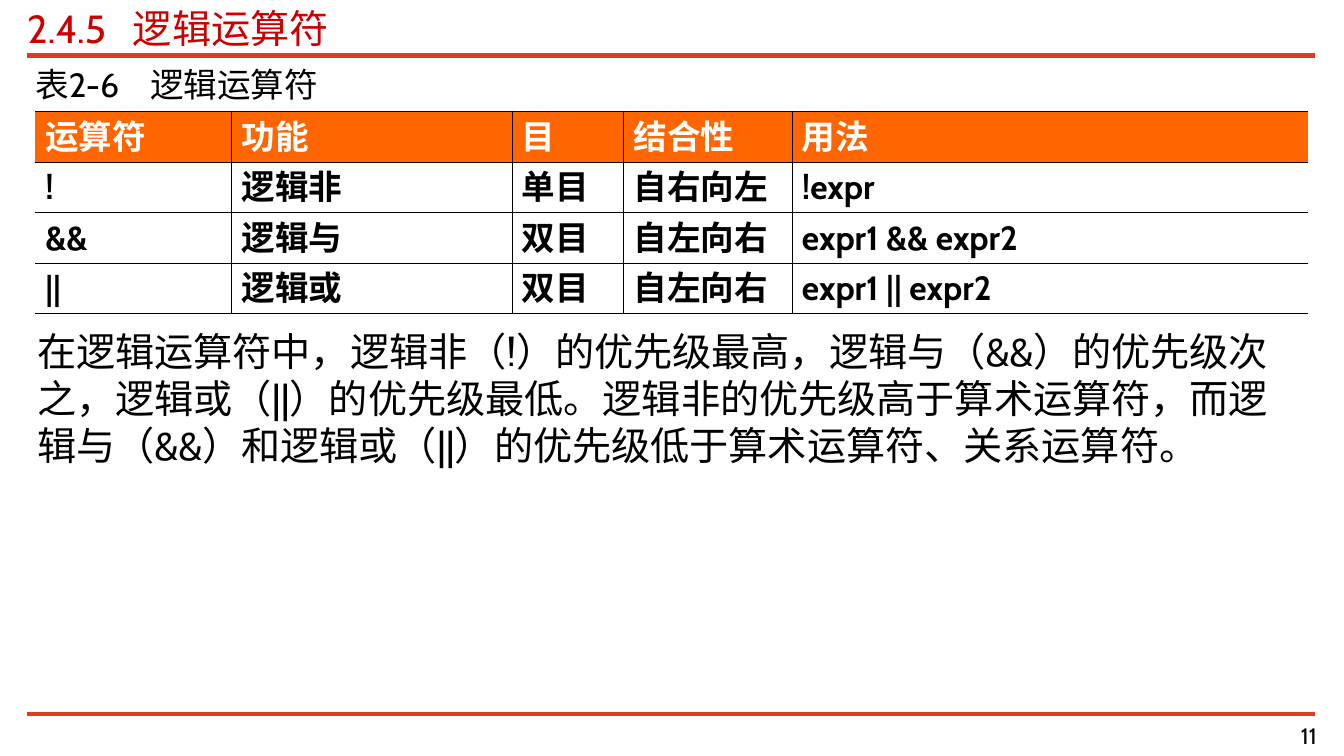
import pptx
import pptx.dml.color
import pptx.enum.shapes
import pptx.enum.text
import pptx.oxml
import pptx.oxml.ns
import pptx.util
from lxml import etree

Inches = pptx.util.Inches
Pt = pptx.util.Pt
RGBColor = pptx.dml.color.RGBColor
qn = pptx.oxml.ns.qn

RULE_RED = RGBColor(0xE1, 0x3A, 0x23)
TITLE_RED = RGBColor(0xCC, 0x00, 0x00)
HEADER_ORANGE = RGBColor(0xFF, 0x66, 0x00)
BLACK = RGBColor(0x00, 0x00, 0x00)
WHITE = RGBColor(0xFF, 0xFF, 0xFF)
FONT = "Cabin"
INNER_LINE, OUTER_LINE = 0.45, 0.62

COLUMN_WIDTHS = [1.95, 2.78, 1.11, 1.67, 5.12]
ROW_HEIGHT = 0.5
OPERATORS = [
    ["运算符", "功能", "目", "结合性", "用法"],
    ["!", "逻辑非", "单目", "自右向左", "!expr"],
    ["&&", "逻辑与", "双目", "自左向右", "expr1 && expr2"],
    ["||", "逻辑或", "双目", "自左向右", "expr1 || expr2"],
]
EXPLANATION = (
    "在逻辑运算符中，逻辑非（!）的优先级最高，逻辑与（&&）的优先级次之，"
    "逻辑或（||）的优先级最低。逻辑非的优先级高于算术运算符，"
    "而逻辑与（&&）和逻辑或（||）的优先级低于算术运算符、关系运算符。"
)


def add_span(para, text, size, color, bold=False):
    """Add one styled run to a paragraph."""
    span = para.add_run()
    span.text = text
    span.font.size = Pt(size)
    span.font.name = FONT
    span.font.bold = bold
    span.font.color.rgb = color
    east_asian = etree.SubElement(span.font._element, qn("a:ea"))
    east_asian.set("typeface", FONT)


def add_text(page, box, text, size, color, inset=(0, 0), tab=None, align=None):
    """Place a text box with one paragraph and an optional tab stop."""
    frame = page.shapes.add_textbox(*map(Inches, box)).text_frame
    frame.word_wrap = True
    frame.margin_left = frame.margin_right = Inches(inset[0])
    frame.margin_top = frame.margin_bottom = Inches(inset[1])
    para = frame.paragraphs[0]
    para.alignment = align
    if tab:
        stops = etree.SubElement(para._p.get_or_add_pPr(), qn("a:tabLst"))
        etree.SubElement(stops, qn("a:tab"), pos=str(Inches(tab)), algn="l")
    add_span(para, text, size, color)


def add_rule(page, left, top, width, weight):
    """Draw a horizontal red rule."""
    rule = page.shapes.add_connector(
        pptx.enum.shapes.MSO_CONNECTOR.STRAIGHT,
        Inches(left), Inches(top), Inches(left + width), Inches(top))
    rule.line.color.rgb = RULE_RED
    rule.line.width = Pt(weight)
    etree.SubElement(rule._element.spPr, qn("a:effectLst"))


def set_border(cell, side, weight):
    """Set one cell border, or clear it when the weight is zero."""
    line = etree.SubElement(cell._tc.get_or_add_tcPr(), qn(f"a:ln{side}"))
    line.set("w", str(Pt(weight)))
    if weight:
        fill = etree.SubElement(line, qn("a:solidFill"))
        etree.SubElement(fill, qn("a:srgbClr"), val=str(BLACK))
    else:
        etree.SubElement(line, qn("a:noFill"))


def add_operator_table(page, left, top):
    """Build the operator table with an orange header row."""
    row_count, column_count = len(OPERATORS), len(COLUMN_WIDTHS)
    table = page.shapes.add_table(
        row_count, column_count, Inches(left), Inches(top),
        Inches(sum(COLUMN_WIDTHS)), Inches(ROW_HEIGHT * row_count)).table
    table.first_row = table.horz_banding = False
    for column, width in zip(table.columns, COLUMN_WIDTHS):
        column.width = Inches(width)
    for row_index, texts in enumerate(OPERATORS):
        table.rows[row_index].height = Inches(ROW_HEIGHT)
        header = row_index == 0
        for column_index, text in enumerate(texts):
            cell = table.cell(row_index, column_index)
            last_column = column_index == column_count - 1
            last_row = row_index == row_count - 1
            set_border(cell, "L", INNER_LINE if column_index else 0)
            set_border(cell, "R", 0 if last_column else INNER_LINE)
            set_border(cell, "T", OUTER_LINE if row_index < 2 else INNER_LINE)
            set_border(cell, "B", OUTER_LINE if header or last_row else INNER_LINE)
            if header:
                cell.fill.solid()
                cell.fill.fore_color.rgb = HEADER_ORANGE
            else:
                cell.fill.background()
            add_span(cell.text_frame.paragraphs[0], text, 24,
                     WHITE if header else BLACK, bold=True)


def add_frame(page, left, width):
    """Add the rules, the section title and the page number."""
    add_rule(page, left, 0.55, width, 4)
    add_rule(page, left, 7.08, width, 3)
    add_text(page, (left, 0.04, width, 0.47), "2.4.5\t逻辑运算符", 28, TITLE_RED, tab=1.05)
    add_text(page, (left + width - 2.66, 7.16, 2.68, 0.31), "11", 16, BLACK,
             align=pptx.enum.text.PP_ALIGN.RIGHT)


def add_content(page, left, width):
    """Add the table caption, the table and the explanation."""
    add_text(page, (left + 0.08, 0.63, width - 0.14, 0.4), "表2-6\t逻辑运算符", 24, BLACK, tab=1.14)
    add_operator_table(page, left + 0.08, 1.11)
    add_text(page, (left, 3.2, width, 3.78), EXPLANATION, 28, BLACK, inset=(0.1, 0.05))


def main():
    """Build the deck and save it."""
    deck = pptx.Presentation()
    deck.slide_width, deck.slide_height = Inches(13.34), Inches(7.5)
    page = deck.slides.add_slide(deck.slide_layouts[6])
    add_frame(page, 0.27, 12.78)
    add_content(page, 0.27, 12.78)
    deck.save("out.pptx")


if __name__ == "__main__":
    main()
